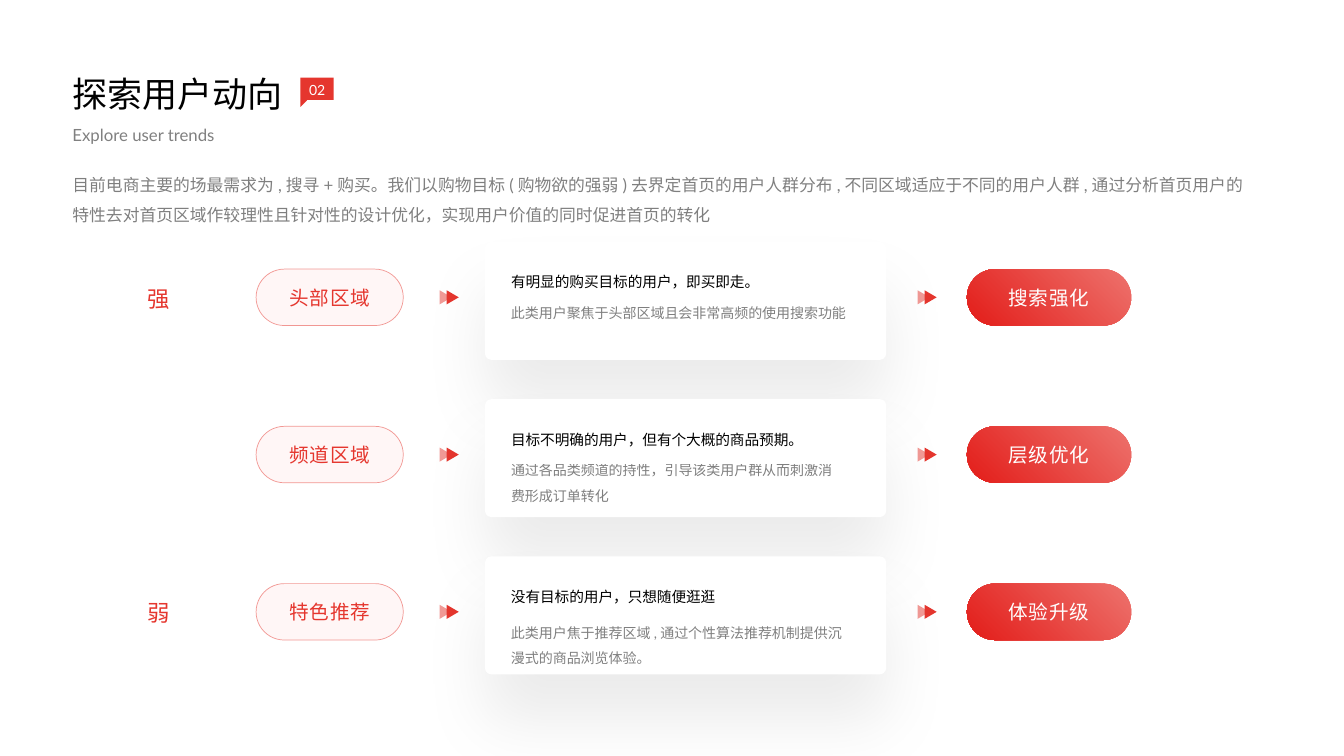
from lxml import etree
from pptx import Presentation
from pptx.dml.color import RGBColor
from pptx.enum.shapes import MSO_SHAPE as Shape
from pptx.enum.text import MSO_ANCHOR as Anchor, MSO_AUTO_SIZE as Auto, PP_ALIGN as Align
from pptx.oxml.ns import qn
from pptx.util import Inches, Pt

COLORS = {
    "red": "E5362E", "deep": "E31D19", "coral": "ED726D", "blush": "FFE4E3",
    "black": "000000", "gray": "808080", "white": "FFFFFF",
}
STEP = 1.56  # distance between rows

# Region, (heading, width), (detail, top, width, wraps), action
ROWS = [
    ("头部区域", ("有明显的购买目标的用户，即买即走。", 2.71),
     ("此类用户聚焦于头部区域且会非常高频的使用搜索功能", 2.97, 3.57, False), "搜索强化"),
    ("频道区域", ("目标不明确的用户，但有个大概的商品预期。", 3.15),
     ("通过各品类频道的持性，引导该类用户群从而刺激消费形成订单转化", 4.45, 3.49, True), "层级优化"),
    ("特色推荐", ("没有目标的用户，只想随便逛逛", 2.26),
     ("此类用户焦于推荐区域,通过个性算法推荐机制提供沉漫式的商品浏览体验。", 6.06, 3.57, True), "体验升级"),
]
INTRO = ("目前电商主要的场最需求为,搜寻+购买。我们以购物目标(购物欲的强弱)去界定首页的用户人群分布,"
         "不同区域适应于不同的用户人群,通过分析首页用户的特性去对首页区域作较理性且针对性的设计优化，"
         "实现用户价值的同时促进首页的转化")


def paint(fill, color, alpha=100):
    fill.solid()
    fill.fore_color.rgb = RGBColor.from_string(COLORS[color])
    if alpha < 100:
        node = fill._xPr.find(qn("a:solidFill"))[0]
        etree.SubElement(node, qn("a:alpha")).set("val", str(alpha * 1000))


def write(frame, text, size, color, font="Lato", align=Align.LEFT,
          alpha=100, wrap=False, gap=None, track=0):
    frame.word_wrap = wrap
    para = frame.paragraphs[0]
    para.alignment = align
    if gap:
        para.line_spacing = gap
    run = para.add_run()
    run.text = text
    run.font.size = Pt(size)
    run.font.name = font
    paint(run.font.fill, color, alpha)
    if track:
        run.font._element.set("spc", str(track))


def add_text(slide, box, text, size, color, **style):
    frame = slide.shapes.add_textbox(*map(Inches, box)).text_frame
    frame.auto_size = Auto.SHAPE_TO_FIT_TEXT
    write(frame, text, size, color, **style)


def add_shape(shapes, kind, box, color, alpha=100):
    shape = shapes.add_shape(kind, *map(Inches, box))
    shape.shadow.inherit = False
    paint(shape.fill, color, alpha)
    shape.line.fill.background()
    return shape


def add_pill(slide, box, text, color):
    pill = add_shape(slide.shapes, Shape.ROUNDED_RECTANGLE, box, "blush", 30)
    pill.adjustments[0] = 0.5
    frame = pill.text_frame
    frame.vertical_anchor = Anchor.MIDDLE
    write(frame, text, 14, color, font="Karla", align=Align.CENTER, track=60)
    return pill


def add_region(slide, top, text):
    pill = add_pill(slide, (2.54, top, 1.46, 0.56), text, "red")
    paint(pill.line.fill, "red", 50)
    pill.line.width = Pt(0.5)


def add_action(slide, top, text):
    fill = add_pill(slide, (9.59, top, 1.63, 0.56), text, "white").fill
    fill.gradient()
    fill.gradient_angle = 225
    for stop, color, spot in zip(fill.gradient_stops, ("coral", "deep"), (0, 1)):
        stop.color.rgb = RGBColor.from_string(COLORS[color])
        stop.position = spot


def add_arrow(slide, left, top):
    group = slide.shapes.add_group_shape()
    for shift, alpha in ((0.07, 100), (0, 50)):
        box = (left + shift, top, 0.14, 0.12)
        add_shape(group.shapes, Shape.ISOSCELES_TRIANGLE, box, "red", alpha).rotation = 90


def add_card(slide, top):
    card = add_shape(slide.shapes, Shape.ROUNDED_RECTANGLE, (4.81, top, 3.98, 1.17), "white")
    card.adjustments[0] = 0.054
    # Soft shadow below the card
    effects = card._element.spPr.find(qn("a:effectLst"))
    shadow = etree.SubElement(effects, qn("a:outerShdw"), blurRad=str(Pt(47)),
                              dist=str(Pt(33)), dir="5400000", algn="t", rotWithShape="0")
    tint = etree.SubElement(shadow, qn("a:srgbClr"), val=COLORS["black"])
    etree.SubElement(tint, qn("a:alpha"), val="8000")


def add_tag(slide):
    points = [(3.31, 0.77), (3.31, 0.99), (3.05, 0.99), (2.98, 1.06)]
    pen = slide.shapes.build_freeform(Inches(2.98), Inches(0.77))
    pen.add_line_segments([(Inches(x), Inches(y)) for x, y in points])
    tag = pen.convert_to_shape()
    tag.shadow.inherit = False
    paint(tag.fill, "red")
    tag.line.fill.background()
    add_text(slide, (2.95, 0.76, 0.39, 0.27), "02", 10, "white", align=Align.CENTER)


def add_head(slide):
    title = slide.shapes.title
    title.left, title.top, title.width, title.height = map(Inches, (0.62, 0.67, 2.31, 0.52))
    title.text_frame.vertical_anchor = Anchor.TOP
    title.text_frame.auto_size = Auto.SHAPE_TO_FIT_TEXT
    write(title.text_frame, "探索用户动向", 25, "black", font="Karla")
    add_tag(slide)
    add_text(slide, (0.62, 1.19, 1.92, 0.3), "Explore user trends", 12, "gray")
    add_text(slide, (0.62, 1.58, 11.97, 0.68), INTRO, 12, "black",
             alpha=50, wrap=True, gap=1.5)


def add_row(slide, shift, region, heading, detail, action):
    add_region(slide, 2.67 + shift, region)
    for left in (4.35, 9.09):
        add_arrow(slide, left, 2.89 + shift)
    add_action(slide, 2.67 + shift, action)
    add_card(slide, 2.4 + shift)
    text, width = heading
    add_text(slide, (4.97, 2.66 + shift, width, 0.28), text, 10.5, "black", font="Karla")
    text, top, width, wrap = detail
    add_text(slide, (4.97, top, width, 0.58 if wrap else 0.27), text, 10, "black",
             alpha=50, wrap=wrap, gap=1.5 if wrap else None)


def main():
    deck = Presentation()
    deck.slide_width, deck.slide_height = Inches(13.33), Inches(7.5)
    slide = deck.slides.add_slide(deck.slide_layouts[5])
    add_head(slide)
    for index, row in enumerate(ROWS):
        add_row(slide, index * STEP, *row)
    # Ends of the intent scale
    for text, top in (("强", 2.78), ("弱", 5.89)):
        add_text(slide, (1.36, top, 0.43, 0.37), text, 16, "red",
                 font="Karla", align=Align.CENTER, track=60)
    deck.save("out.pptx")


if __name__ == "__main__":
    main()
